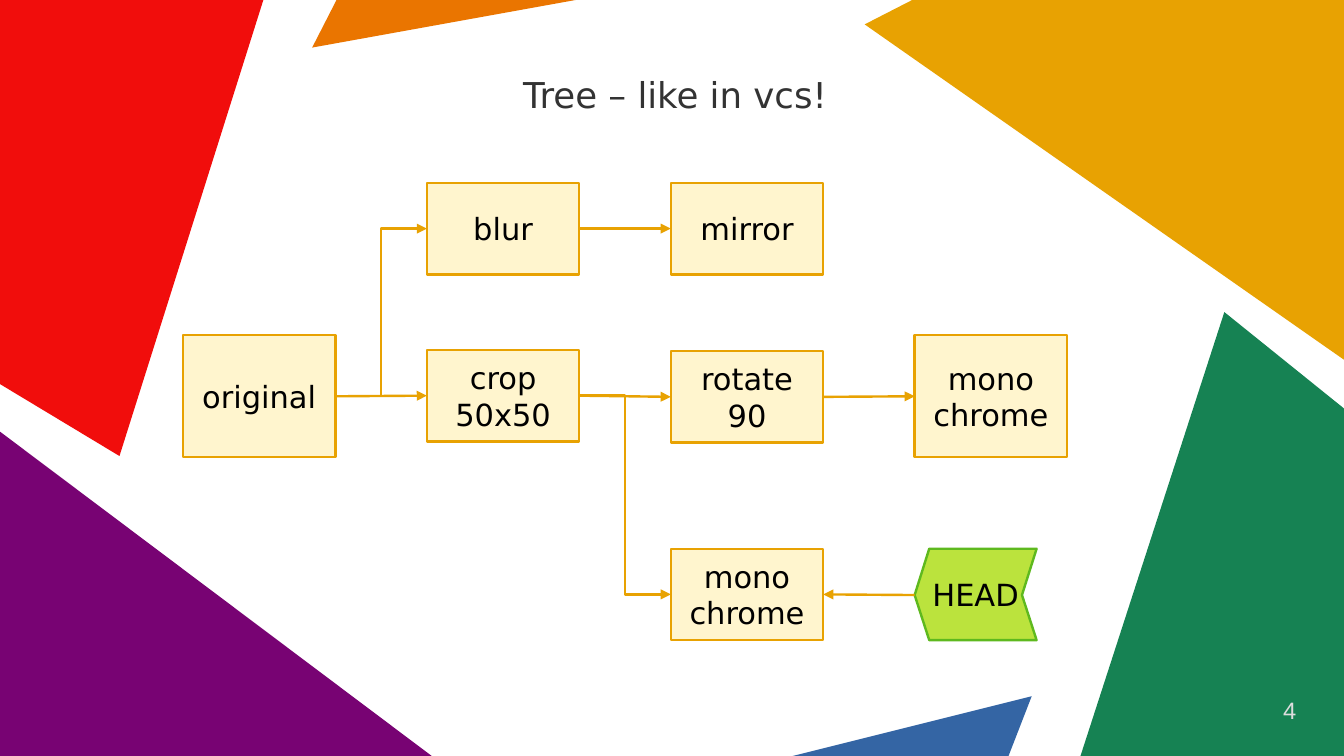
"""Build a slide that shows image edits as a version tree."""
from lxml.etree import SubElement
from pptx import Presentation
from pptx.dml.color import RGBColor
from pptx.enum.shapes import MSO_CONNECTOR, MSO_SHAPE
from pptx.enum.text import MSO_ANCHOR, PP_ALIGN
from pptx.oxml.ns import qn
from pptx.util import Inches, Pt

GOLD = "E8A202"
CREAM = "FFF5CE"


def paint(shape, fill, edge=None):
    shape.shadow.inherit = False
    shape.fill.solid()
    shape.fill.fore_color.rgb = RGBColor.from_string(fill)
    if edge:
        shape.line.color.rgb = RGBColor.from_string(edge)
        shape.line.width = Pt(1.42)
    else:
        shape.line.fill.background()


def write(shape, text, size=18, font="DejaVu Sans", color="000000",
          align=PP_ALIGN.CENTER, anchor=MSO_ANCHOR.MIDDLE, wrap=False, pad=(0.1, 0.05)):
    frame = shape.text_frame
    frame.text = text
    frame.word_wrap = wrap
    frame.vertical_anchor = anchor
    frame.margin_left = frame.margin_right = Inches(pad[0])
    frame.margin_top = frame.margin_bottom = Inches(pad[1])
    for para in frame.paragraphs:
        para.alignment = align
        para.font.size = Pt(size)
        para.font.name = font
        para.font.color.rgb = RGBColor.from_string(color)


deck = Presentation()
deck.slide_width, deck.slide_height = Inches(11.02), Inches(6.2)
slide = deck.slides.add_slide(deck.slide_layouts[6])
shapes = slide.shapes

shards = [
    ("F10D0C", None, [(0, 0), (0, 3.15), (0.98, 3.74), (2.16, 0)]),
    ("EA7500", None, [(2.76, 0), (2.56, 0.39), (4.72, 0)]),
    (GOLD, None, [(11.02, 0), (7.48, 0), (7.09, 0.2), (11.02, 2.95)]),
    ("168253", None, [(11.02, 6.2), (11.02, 3.35), (10.04, 2.56), (8.86, 6.2)]),
    ("3465A4", None, [(8.27, 6.2), (8.46, 5.71), (6.5, 6.2)]),
    ("780373", None, [(0, 3.54), (0, 6.2), (3.54, 6.2)]),
    ("BBE33D", "5EB91E", [(8.5, 4.5), (7.62, 4.5), (7.5, 4.88),
                          (7.62, 5.25), (8.5, 5.25), (8.38, 4.88)]),
]
for fill, edge, points in shards:
    dots = [(Inches(x), Inches(y)) for x, y in points]
    pen = shapes.build_freeform(*dots[0])
    pen.add_line_segments(dots[1:])
    head = pen.convert_to_shape()
    paint(head, fill, edge)
write(head, "HEAD")

number = shapes.add_textbox(Inches(8.07), Inches(5.71), Inches(2.56), Inches(0.39))
write(number, "4", size=14, font="Arial", color="DDDDDD", align=PP_ALIGN.RIGHT,
      anchor=MSO_ANCHOR.TOP, wrap=True, pad=(0, 0))
title = shapes.add_textbox(Inches(1.93), Inches(0.25), Inches(7.21), Inches(1.04))
write(title, "Tree – like in vcs!", size=21, color="333333", wrap=True, pad=(0, 0))

steps = {
    "start": ("original", 1.5, 2.75, 1),
    "crop": ("crop\n50x50", 3.5, 2.87, 0.75),
    "turn": ("rotate\n90", 5.5, 2.88, 0.75),
    "end": ("mono\nchrome", 7.5, 2.75, 1),
    "blur": ("blur", 3.5, 1.5, 0.75),
    "flip": ("mirror", 5.5, 1.5, 0.75),
    "mono": ("mono\nchrome", 5.5, 4.5, 0.75),
}
boxes = {}
for key, (text, left, top, height) in steps.items():
    box = shapes.add_shape(MSO_SHAPE.RECTANGLE, Inches(left), Inches(top),
                           Inches(1.25), Inches(height))
    paint(box, CREAM, GOLD)
    write(box, text)
    boxes[key] = box

links = [
    ("start", "crop", MSO_CONNECTOR.STRAIGHT),
    ("start", "blur", MSO_CONNECTOR.ELBOW),
    ("crop", "turn", MSO_CONNECTOR.STRAIGHT),
    ("crop", "mono", MSO_CONNECTOR.ELBOW),
    ("turn", "end", MSO_CONNECTOR.STRAIGHT),
    ("blur", "flip", MSO_CONNECTOR.STRAIGHT),
    ("head", "mono", MSO_CONNECTOR.STRAIGHT),
]
for source, target, kind in links:
    link = shapes.add_connector(kind, Inches(7.5), Inches(4.88), Inches(6.75), Inches(4.88))
    if source == "head":
        link.end_connect(boxes[target], 3)
    else:
        link.begin_connect(boxes[source], 3)
        link.end_connect(boxes[target], 1)
    link.line.color.rgb = RGBColor.from_string(GOLD)
    link.line.width = Pt(1.42)
    SubElement(link.line._get_or_add_ln(), qn("a:tailEnd"), type="triangle")
    SubElement(link._element.spPr, qn("a:effectLst"))

deck.save("out.pptx")
